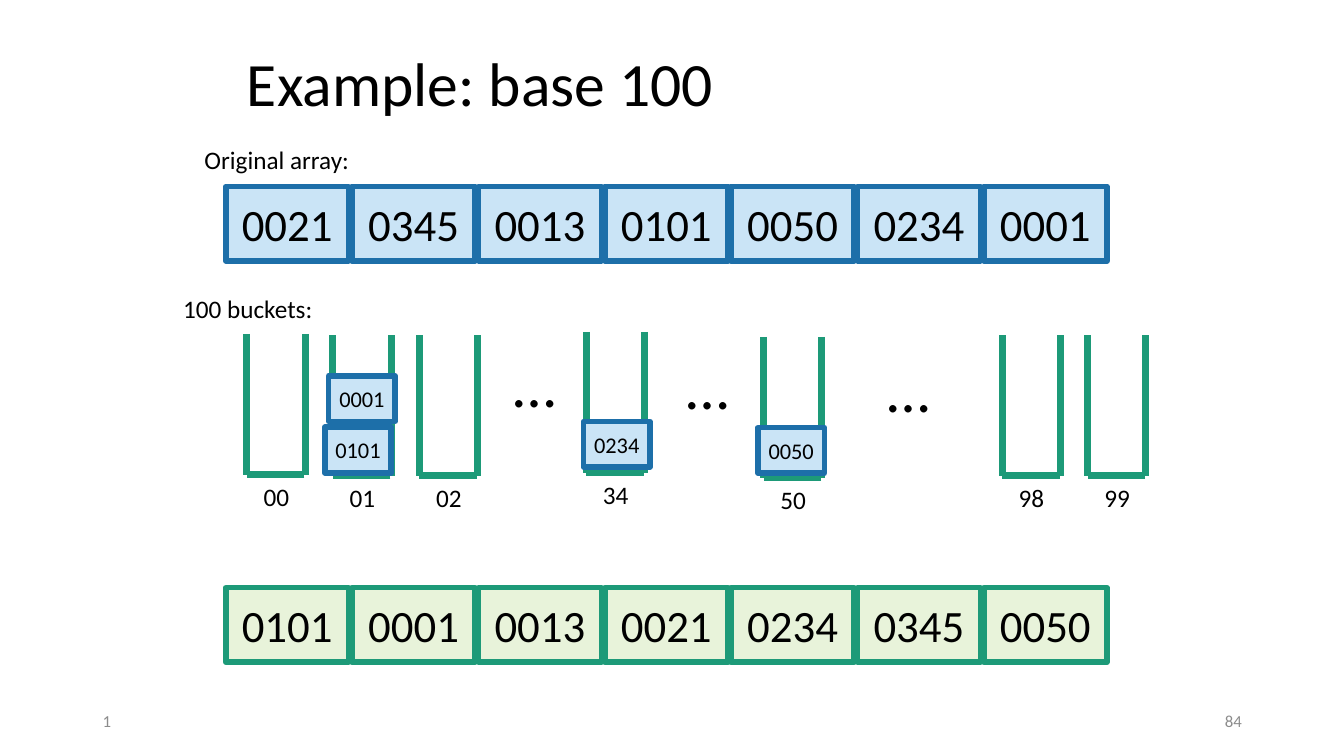
from dataclasses import dataclass

from lxml import etree
from pptx import Presentation
from pptx.dml.color import RGBColor
from pptx.enum import shapes, text
from pptx.oxml import ns
from pptx.util import Pt


@dataclass(frozen=True)
class Theme:
    font: str = "Calibri"
    ink: str = "000000"
    gray: str = "8C8C8C"
    blue: str = "1D6FA9"
    sky: str = "CAE4F6"
    green: str = "1D9A78"
    lime: str = "E8F3DA"
    title: int = 44
    cell: int = 32
    label: int = 18
    chip: int = 16
    foot: int = 12


T = Theme()
LEFT, MID, RIGHT = text.PP_ALIGN.LEFT, text.PP_ALIGN.CENTER, text.PP_ALIGN.RIGHT
TOP, HALF = text.MSO_ANCHOR.TOP, text.MSO_ANCHOR.MIDDLE
CELL_W, CELL_H, PITCH = 87.8, 53.3, 90.25
CHIP_W, CHIP_H = 47.5, 32.5


def write(shape, words, size=T.label, color=T.ink, align=LEFT, anchor=TOP,
          space=1.0, pad=7.2):
    frame = shape.text_frame
    frame.word_wrap = True
    frame.auto_size = text.MSO_AUTO_SIZE.NONE
    frame.vertical_anchor = anchor
    frame.margin_left = frame.margin_right = Pt(pad)
    para = frame.paragraphs[0]
    para.alignment, para.line_spacing = align, space
    run = para.add_run()
    run.text = words
    run.font.name, run.font.size = T.font, Pt(size)
    run.font.color.rgb = RGBColor.from_string(color)


def label(slide, box, words, **form):
    write(slide.shapes.add_textbox(*map(Pt, box)), words, **form)


def tile(slide, box, words, size, fill=T.sky, edge=T.blue):
    rect = slide.shapes.add_shape(shapes.MSO_SHAPE.RECTANGLE, *map(Pt, box))
    rect.shadow.inherit = False
    rect.fill.solid()
    rect.fill.fore_color.rgb = RGBColor.from_string(fill)
    rect.line.color.rgb = RGBColor.from_string(edge)
    rect.line.width = Pt(4)
    write(rect, words, size=size, align=MID, anchor=HALF, pad=0)


def wall(slide, *ends):
    line = slide.shapes.add_connector(shapes.MSO_CONNECTOR.STRAIGHT, *map(Pt, ends))
    line.line.color.rgb = RGBColor.from_string(T.green)
    line.line.width = Pt(5)
    etree.SubElement(line._element.spPr, ns.qn("a:effectLst"))


def heading(slide, box, words):
    title = slide.shapes.title
    title.left, title.top, title.width, title.height = map(Pt, box)
    write(title, words, size=T.title, anchor=HALF, space=0.9)


def array(slide, left, top, items, **paint):
    for i, item in enumerate(items):
        tile(slide, (left + i * PITCH, top, CELL_W, CELL_H), item, T.cell, **paint)


def bucket(slide, box, name, chips):
    left, top, width, height = box
    right, base = left + width, top + height
    # Two sides and a floor
    wall(slide, left, top, left, base)
    wall(slide, right, top, right, base)
    wall(slide, right - 0.5, base, left, base)
    label(slide, (left + 4.8, base + 1.2, 38.2, 29), name)
    # Numbers inside, from the bottom up
    for dx, dy, item in chips:
        tile(slide, (left + dx, top + dy, CHIP_W, CHIP_H), item, T.chip)


def buckets(slide, left, top):
    label(slide, (left, top, 110, 29), "100 buckets:")
    # Offset from the region's corner, name, chips
    rows = [
        (52.6, 32.6, "00", []),
        (114, 33.6, "01", [(-5.8, 65.7, "0101"), (-3, 29, "0001")]),
        (175.8, 33.6, "02", []),
        (295, 31.2, "34", [(-2, 64, "0234")]),
        (421.8, 34.8, "50", [(-4.2, 64.8, "0050")]),
        (592, 33.6, "98", []),
        (653.2, 33.6, "99", []),
    ]
    for dx, dy, name, chips in rows:
        bucket(slide, (left + dx, top + dy, 41.5, 100.5), name, chips)
    # Skipped buckets
    for dx, dy in [(236.2, 37.5), (359.3, 39), (503.3, 41)]:
        label(slide, (left + dx, top + dy, 77, 60.5), "…", size=T.title)


def footer(slide, left, top, width):
    form = dict(size=T.foot, color=T.gray, anchor=HALF)
    label(slide, (left, top, 216, 28.8), "1", **form)
    label(slide, (left + width - 216, top, 216, 28.8), "84", align=RIGHT, **form)


def main():
    deck = Presentation()
    deck.slide_width, deck.slide_height = Pt(960), Pt(540)
    slide = deck.slides.add_slide(deck.slide_layouts[5])
    heading(slide, (169.2, 28.8, 620.6, 65.5), "Example: base 100")
    # Unsorted input
    label(slide, (139, 99.4, 233, 29), "Original array:")
    array(slide, 161.3, 133.2,
          ["0021", "0345", "0013", "0101", "0050", "0234", "0001"])
    buckets(slide, 123.8, 205.9)
    # Result of the pass
    array(slide, 161.3, 419.8,
          ["0101", "0001", "0013", "0021", "0234", "0345", "0050"],
          fill=T.lime, edge=T.green)
    footer(slide, 66.2, 500.4, 828)
    deck.save("out.pptx")


if __name__ == "__main__":
    main()
